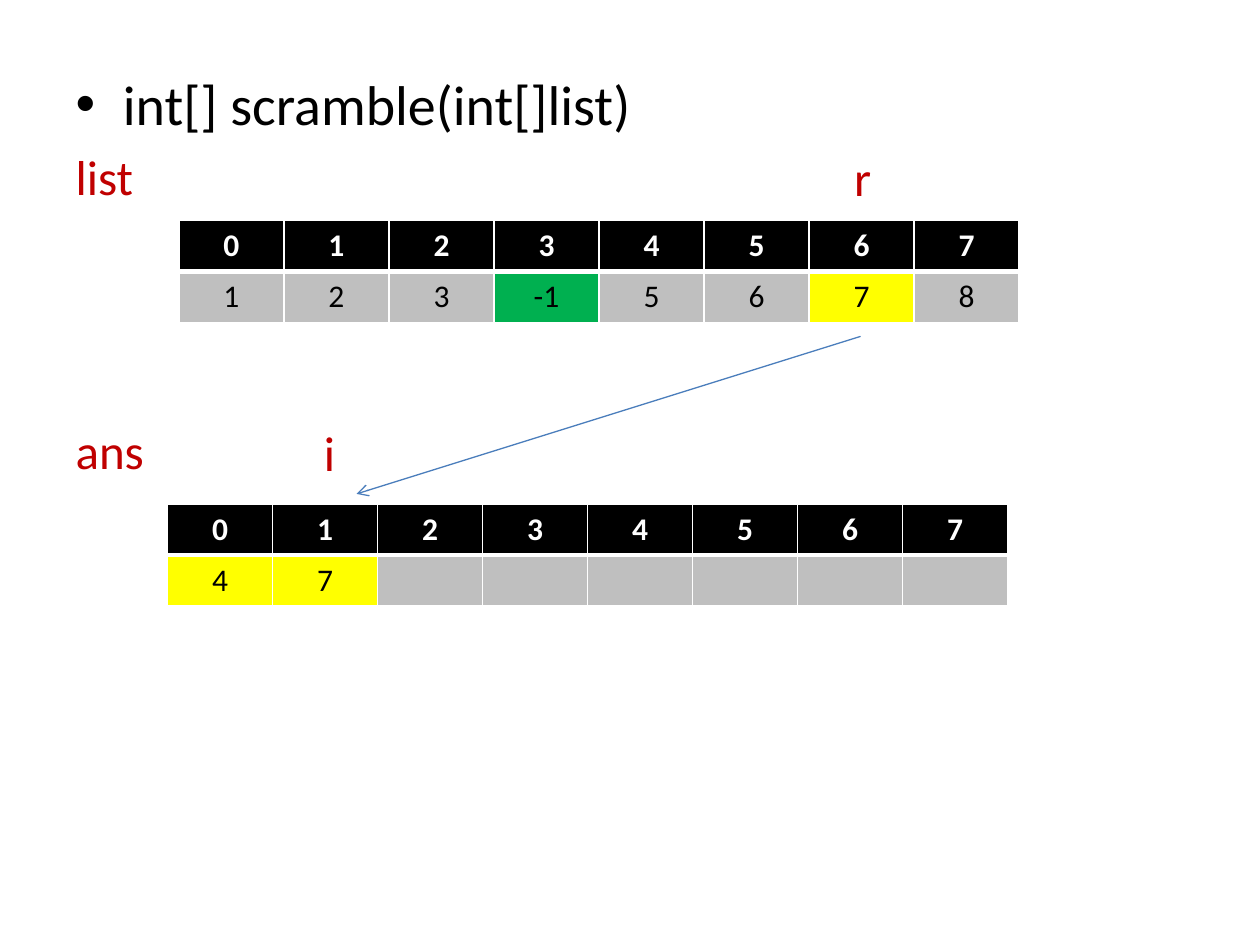
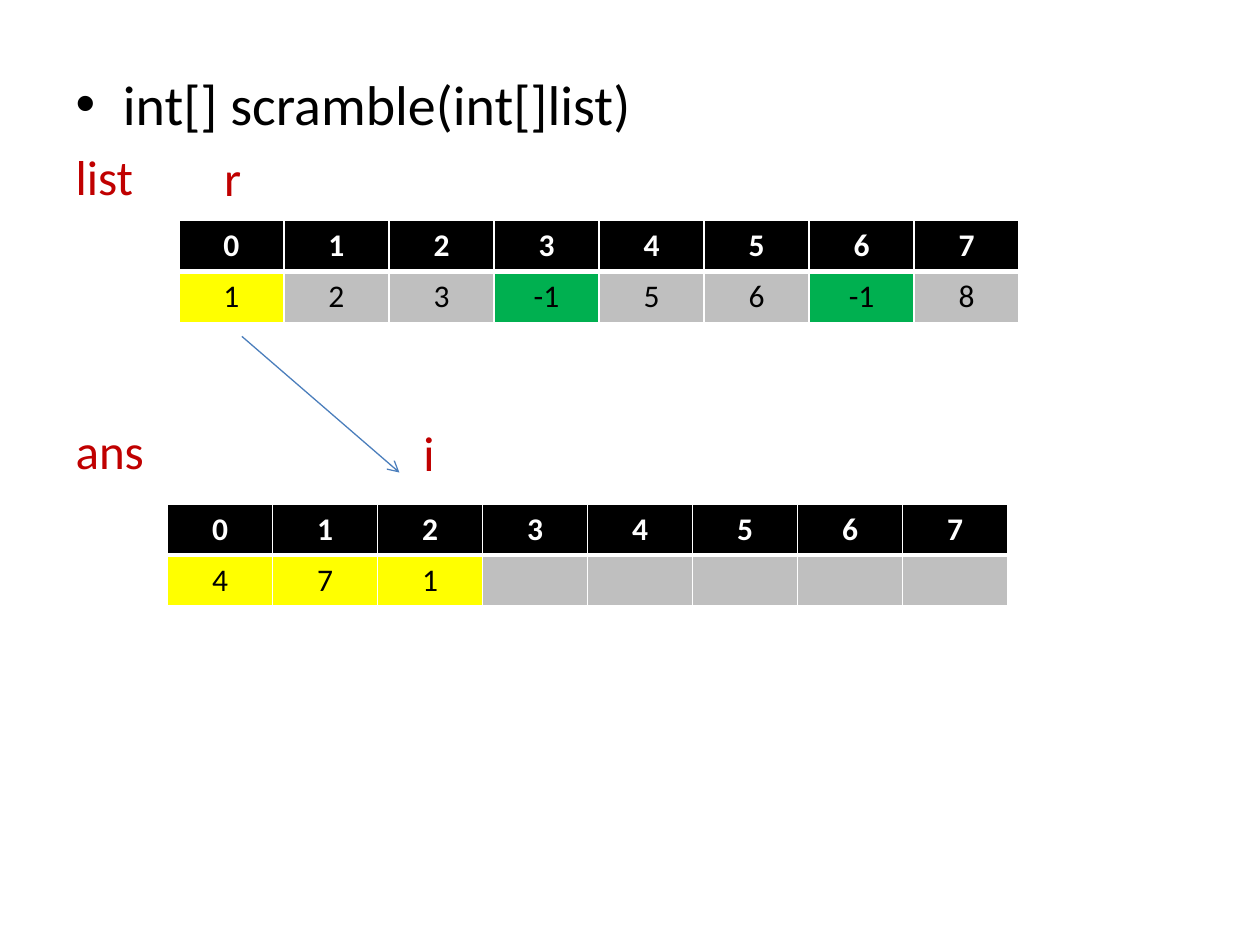
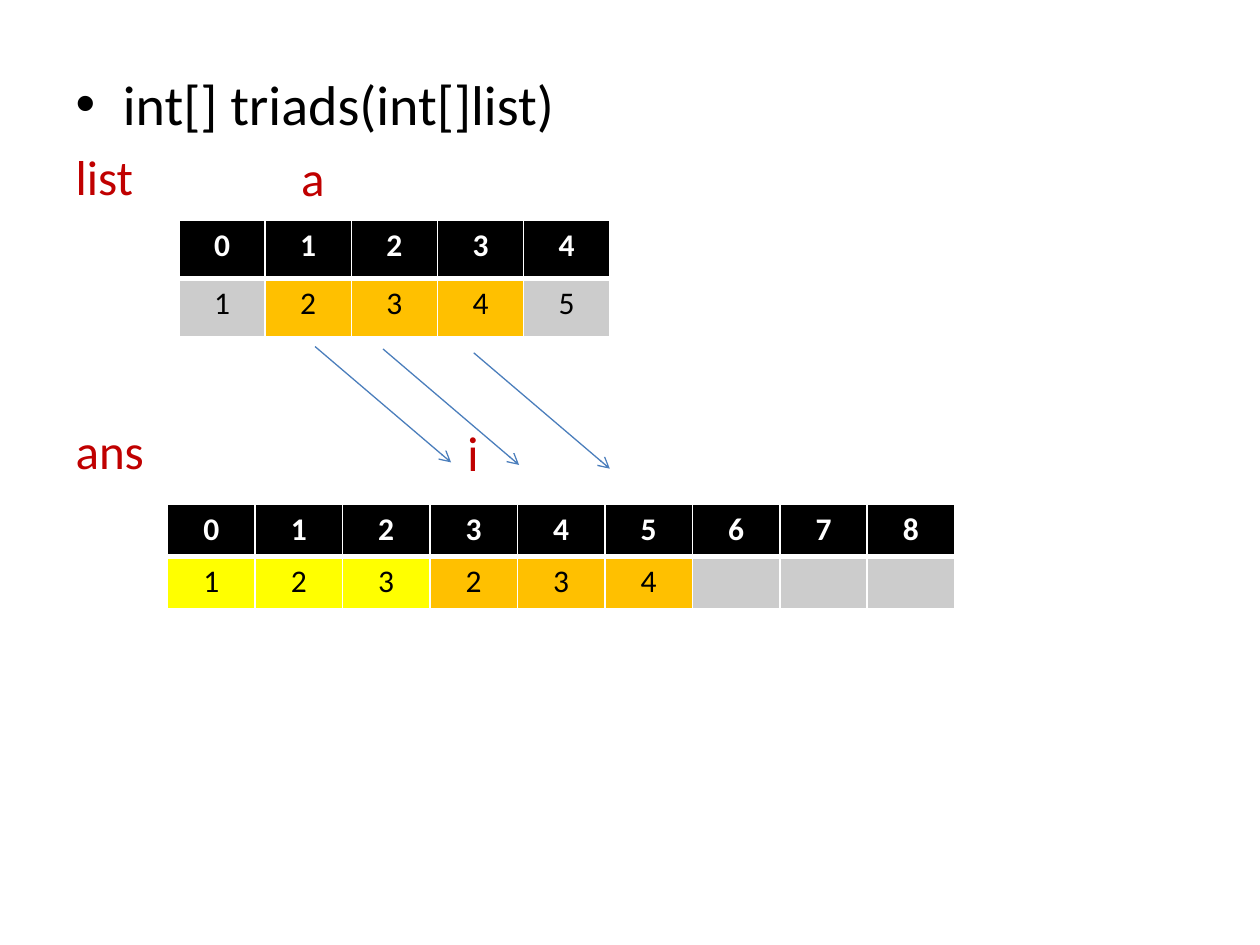
from dataclasses import dataclass

from lxml import etree
from pptx import Presentation
from pptx.dml.color import RGBColor
from pptx.enum import shapes, text
from pptx.oxml import ns
from pptx.util import Inches, Pt


@dataclass(frozen=True)
class Theme:
    font: str = "Calibri"
    heading_size: int = 32
    label_size: int = 28
    cell_size: int = 18
    black: str = "000000"
    white: str = "FFFFFF"
    label: str = "C00000"
    gray: str = "BFBFBF"
    light_gray: str = "CCCCCC"
    used: str = "00B050"
    copied: str = "FFFF00"
    triad: str = "FFC000"
    arrow: str = "4B7EBC"


THEME = Theme()


def style_font(font, size, color, bold=False):
    font.name = THEME.font
    font.size = Pt(size)
    font.bold = bold
    font.color.rgb = RGBColor.from_string(color)


def add_array(slide, left, top, width, height, values, fills):
    """Draw an array as a row of indexes above a row of values."""
    columns = len(values)
    table = slide.shapes.add_table(
        2, columns, Inches(left), Inches(top), Inches(width), Inches(height)).table
    table.horz_banding = False
    rows = [
        (range(columns), [THEME.black] * columns, THEME.white, True, "a:lnB"),
        (values, fills, THEME.black, False, "a:lnT"),
    ]
    for row, (row_values, row_fills, color, bold, divider) in enumerate(rows):
        for column, (value, fill) in enumerate(zip(row_values, row_fills)):
            cell = table.cell(row, column)
            cell.fill.solid()
            cell.fill.fore_color.rgb = RGBColor.from_string(fill)
            paragraph = cell.text_frame.paragraphs[0]
            paragraph.text = str(value)
            paragraph.alignment = text.PP_ALIGN.CENTER
            style_font(paragraph.font, THEME.cell_size, color, bold)
            for run in paragraph.runs:
                style_font(run.font, THEME.cell_size, color, bold)
            # Thick white divider between the two rows
            border = etree.Element(ns.qn(divider), w=str(Pt(3)))
            border_fill = etree.SubElement(border, ns.qn("a:solidFill"))
            etree.SubElement(border_fill, ns.qn("a:srgbClr"), val=THEME.white)
            cell._tc.get_or_add_tcPr().insert(0, border)


# Steps: pointers pair a name with its left edge; arrows are (start, end)
G, L, U, C, T = THEME.gray, THEME.light_gray, THEME.used, THEME.copied, THEME.triad
steps = [
    dict(
        heading="int[] scramble(int[]list)",
        list_pointer=("r", 6.78), ans_pointer=("i", 2.57),
        list_size=(6.67, 0.81), ans_size=(6.67, 0.81),
        list_values=[1, 2, 3, -1, 5, 6, 7, 8],
        list_fills=[G, G, G, U, G, G, C, G],
        ans_values=[4, 7] + [""] * 6,
        ans_fills=[C] * 2 + [G] * 6,
        arrows=[((6.83, 2.67), (2.83, 3.92))],
    ),
    dict(
        heading="int[] scramble(int[]list)",
        list_pointer=("r", 1.78), ans_pointer=("i", 3.36),
        list_size=(6.67, 0.81), ans_size=(6.67, 0.81),
        list_values=[1, 2, 3, -1, 5, 6, -1, 8],
        list_fills=[C, G, G, U, G, G, U, G],
        ans_values=[4, 7, 1] + [""] * 5,
        ans_fills=[C] * 3 + [G] * 5,
        arrows=[((1.92, 2.67), (3.17, 3.75))],
    ),
    dict(
        heading="int[] triads(int[]list)",
        list_pointer=("a", 2.39), ans_pointer=("i", 3.71),
        list_size=(3.42, 0.92), ans_size=(6.25, 0.83),
        list_values=[1, 2, 3, 4, 5],
        list_fills=[L, T, T, T, L],
        ans_values=[1, 2, 3, 2, 3, 4] + [""] * 3,
        ans_fills=[C] * 3 + [T] * 3 + [L] * 3,
        arrows=[((x, y), (x + 1.08, y + 0.92))
                for x, y in [(2.5, 2.75), (3.04, 2.77), (3.76, 2.8)]],
    ),
]

presentation = Presentation()
presentation.slide_width = Inches(10)
presentation.slide_height = Inches(7.5)

for step in steps:
    slide = presentation.slides.add_slide(presentation.slide_layouts[1])
    title = slide.shapes.title.element
    title.getparent().remove(title)

    # Heading
    body = slide.placeholders[1]
    body.left, body.top = Inches(0.5), Inches(0.5)
    body.width, body.height = Inches(9.08), Inches(6.2)
    frame = body.text_frame
    frame.auto_size = text.MSO_AUTO_SIZE.NONE
    frame.text = step["heading"]
    frame.paragraphs[0].space_before = Pt(0)
    style_font(frame.paragraphs[0].runs[0].font, THEME.heading_size, THEME.black)

    # Array names, each with a pointer above the current cell
    labels = [
        ("list", 5.6, step["list_pointer"], 1.17),
        ("ans", 123, step["ans_pointer"], 3.35),
    ]
    for name, space_before, (pointer, left), top in labels:
        paragraph = frame.add_paragraph()
        paragraph.text = name
        properties = paragraph._p.get_or_add_pPr()
        properties.set("marL", "0")
        properties.set("indent", "0")
        etree.SubElement(properties, ns.qn("a:buNone"))
        paragraph.space_before = Pt(space_before)
        style_font(paragraph.runs[0].font, THEME.label_size, THEME.label)

        pointer_box = slide.shapes.add_textbox(
            Inches(left), Inches(top), Inches(0.4), Inches(0.48))
        pointer_frame = pointer_box.text_frame
        pointer_frame.word_wrap = True
        pointer_frame.margin_left = pointer_frame.margin_right = 0
        pointer_frame.margin_top = pointer_frame.margin_bottom = 0
        pointer_frame.text = pointer
        style_font(pointer_frame.paragraphs[0].runs[0].font, THEME.label_size, THEME.label)

    # Source and result arrays
    add_array(slide, 1.42, 1.75, *step["list_size"], step["list_values"], step["list_fills"])
    add_array(slide, 1.33, 4, *step["ans_size"], step["ans_values"], step["ans_fills"])

    # Arrows from the values read to the places written
    for start, end in step["arrows"]:
        arrow = slide.shapes.add_connector(
            shapes.MSO_CONNECTOR.STRAIGHT, *map(Inches, start + end))
        arrow.line.color.rgb = RGBColor.from_string(THEME.arrow)
        arrow.line.width = Pt(0.75)
        etree.SubElement(arrow.line._get_or_add_ln(), ns.qn("a:tailEnd"), type="arrow")
        etree.SubElement(arrow._element.spPr, ns.qn("a:effectLst"))

presentation.save("out.pptx")
